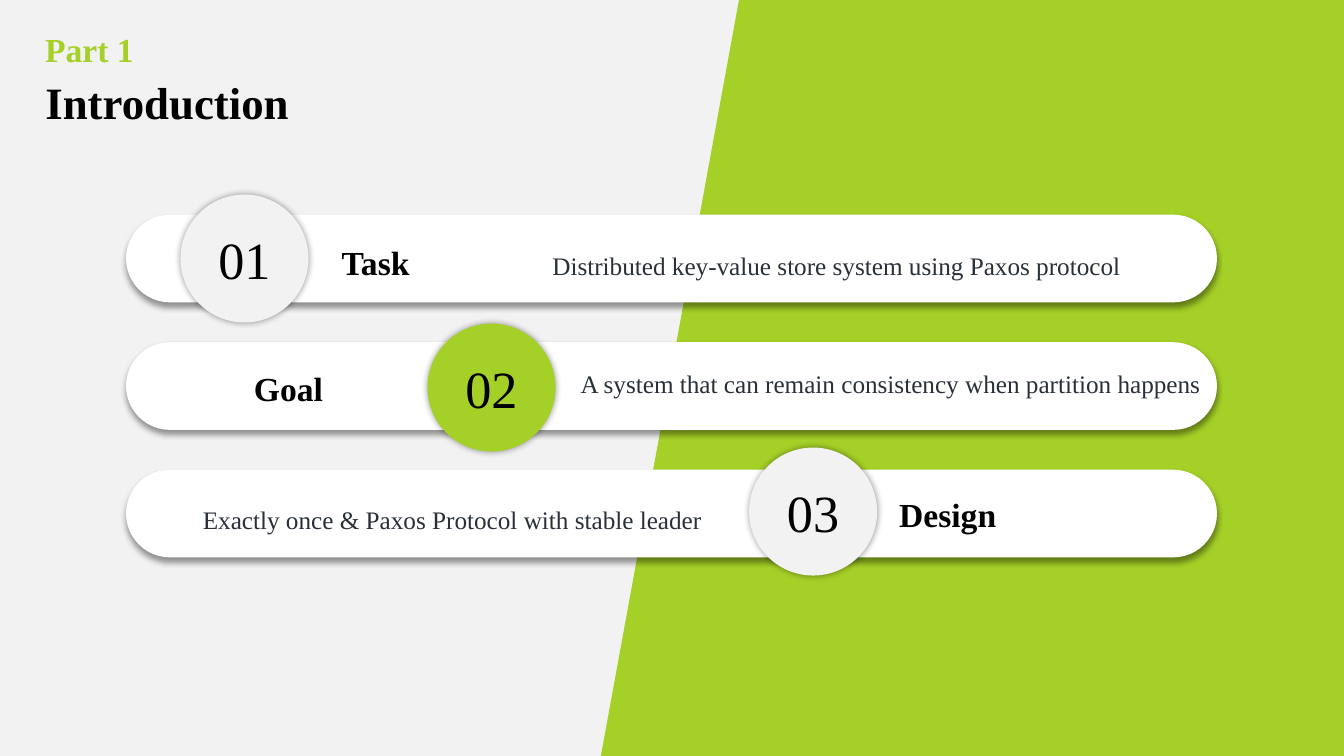
from lxml.etree import SubElement
from pptx import Presentation
from pptx.dml.color import RGBColor
from pptx.enum.shapes import MSO_SHAPE
from pptx.enum.text import MSO_ANCHOR, MSO_AUTO_SIZE, PP_ALIGN
from pptx.oxml.ns import qn
from pptx.util import Inches, Pt

GREEN = RGBColor(0xA5, 0xD0, 0x27)
PALE = RGBColor(0xF2, 0xF2, 0xF2)
WHITE = RGBColor(0xFF, 0xFF, 0xFF)
BLACK = RGBColor(0, 0, 0)
SLATE = RGBColor(0x29, 0x30, 0x3A)
FONT = "Times New Roman"

WIDTH, HEIGHT = 13.33, 7.5
BAR_LEFT, BAR_TOP, BAR_WIDTH, BAR_HEIGHT, BAR_STEP = 1.25, 2.13, 10.82, 0.87, 1.265
CIRCLE_SIZE = 1.27

CIRCLES = [
    ("01", 1.79, 1.93, PALE),
    ("02", 4.24, 3.21, GREEN),
    ("03", 7.43, 4.44, PALE),
]
LABELS = [
    ("Task", 3.29, 2.35, 0.91),
    ("Goal", 2.42, 3.6, 0.89),
    ("Design", 8.82, 4.85, 1.17),
]
DETAILS = [
    ("Distributed key-value store system using Paxos protocol", 5.38, 2.34, 6.38, PP_ALIGN.LEFT),
    ("A system that can remain consistency when partition happens", 5.66, 3.52, 6.61, PP_ALIGN.LEFT),
    ("Exactly once & Paxos Protocol with stable leader", 1.61, 4.86, 5.45, PP_ALIGN.RIGHT),
]


def write(shape, text, size, color, bold=False, align=PP_ALIGN.LEFT, spacing=1.0):
    para = shape.text_frame.paragraphs[0]
    para.alignment = align
    para.line_spacing = spacing
    span = para.add_run()
    span.text = text
    span.font.name = FONT
    span.font.size = Pt(size)
    span.font.bold = bold
    span.font.color.rgb = color


def paint(shape, color):
    shape.shadow.inherit = False
    shape.fill.solid()
    shape.fill.fore_color.rgb = color
    shape.line.fill.background()


def add_shadow(shape, blur, distance, angle):
    effects = shape._element.spPr.find(qn("a:effectLst"))
    shadow = SubElement(
        effects, qn("a:outerShdw"), blurRad=str(Pt(blur)), dist=str(Pt(distance)),
        dir=str(angle * 60000), algn="ctr", rotWithShape="0")
    color = SubElement(shadow, qn("a:srgbClr"), val=str(BLACK))
    SubElement(color, qn("a:alpha"), val="40000")


def add_panel(page):
    builder = page.shapes.build_freeform(Inches(7.33), 0)
    corners = [(WIDTH, 0), (WIDTH, HEIGHT), (5.96, HEIGHT)]
    builder.add_line_segments([(Inches(x), Inches(y)) for x, y in corners], close=True)
    paint(builder.convert_to_shape(), GREEN)


def add_bar(page, top):
    bar = page.shapes.add_shape(
        MSO_SHAPE.ROUNDED_RECTANGLE,
        Inches(BAR_LEFT), Inches(top), Inches(BAR_WIDTH), Inches(BAR_HEIGHT))
    bar.adjustments[0] = 0.5
    paint(bar, WHITE)
    add_shadow(bar, 4, 3, 90)


def add_circle(page, number, left, top, color):
    circle = page.shapes.add_shape(
        MSO_SHAPE.OVAL, Inches(left), Inches(top), Inches(CIRCLE_SIZE), Inches(CIRCLE_SIZE))
    paint(circle, color)
    add_shadow(circle, 5, 0, 0)
    circle.text_frame.vertical_anchor = MSO_ANCHOR.MIDDLE
    write(circle, number, 37.3, BLACK, align=PP_ALIGN.CENTER)


def add_text(page, left, top, width, height, wrap=True):
    box = page.shapes.add_textbox(Inches(left), Inches(top), Inches(width), Inches(height))
    box.text_frame.word_wrap = wrap
    box.text_frame.auto_size = MSO_AUTO_SIZE.SHAPE_TO_FIT_TEXT
    return box


def add_heading(page):
    part = add_text(page, 0.35, 0.28, 3.84, 0.46)
    title = page.shapes.title
    title.left, title.top = Inches(0.35), Inches(0.76)
    title.width, title.height = Inches(3.84), Inches(0.56)
    for box, text, size, color in ((part, "Part 1", 24, GREEN), (title, "Introduction", 32, BLACK)):
        box.text_frame.auto_size = MSO_AUTO_SIZE.NONE
        box.text_frame.vertical_anchor = MSO_ANCHOR.MIDDLE
        write(box, text, size, color, bold=True, spacing=0.9)


def main():
    deck = Presentation()
    deck.slide_width, deck.slide_height = Inches(WIDTH), Inches(HEIGHT)
    page = deck.slides.add_slide(deck.slide_layouts[5])
    page.background.fill.solid()
    page.background.fill.fore_color.rgb = PALE
    add_panel(page)
    for row in range(len(CIRCLES)):
        add_bar(page, BAR_TOP + row * BAR_STEP)
    for text, left, top, width, align in DETAILS:
        box = add_text(page, left, top, width, 0.46)
        write(box, text, 18, SLATE, align=align, spacing=1.3)
    for text, left, top, width in LABELS:
        box = add_text(page, left, top, width, 0.5, wrap=False)
        write(box, text, 24, BLACK, bold=True)
    for circle in CIRCLES:
        add_circle(page, *circle)
    add_heading(page)
    deck.save("out.pptx")


if __name__ == "__main__":
    main()
